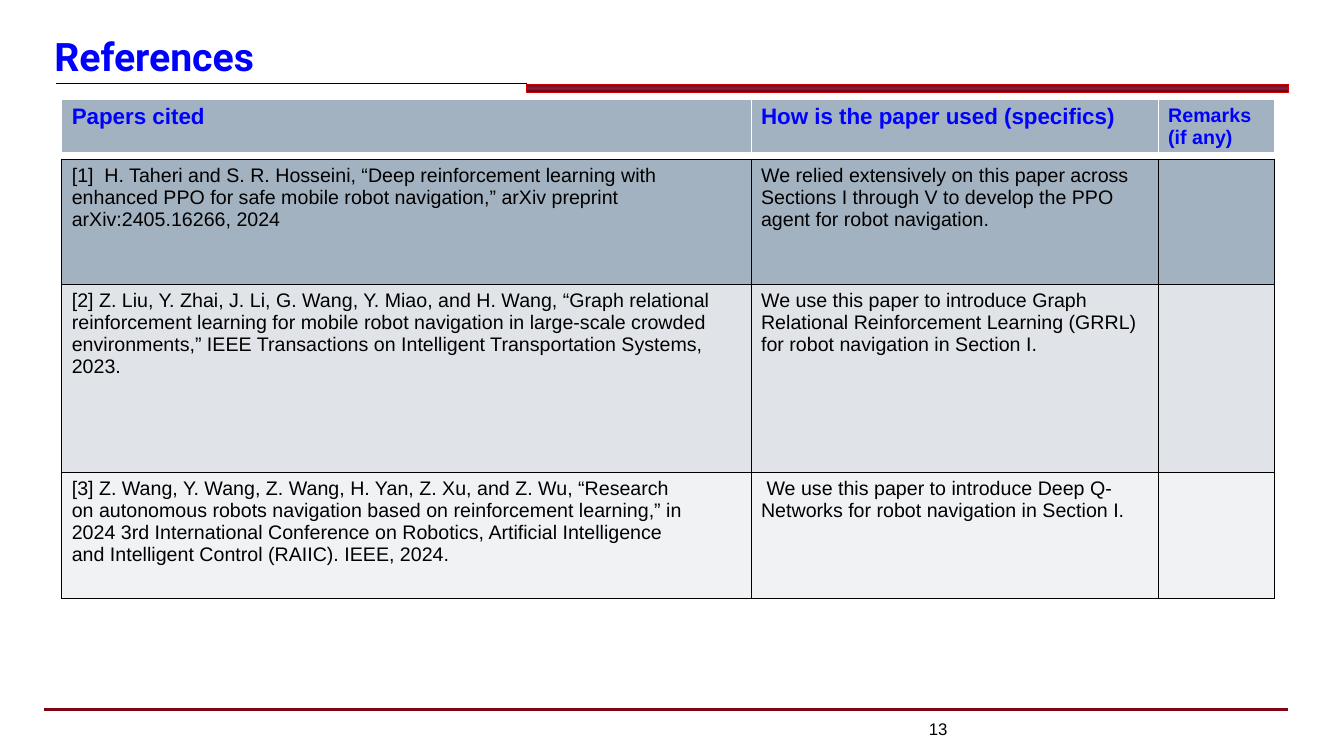
"""Build the References slide with its table of cited papers."""
from dataclasses import dataclass

from lxml import etree
from pptx import Presentation
from pptx.dml.color import RGBColor
from pptx.enum.shapes import MSO_CONNECTOR, MSO_SHAPE
from pptx.enum.text import MSO_ANCHOR, MSO_AUTO_SIZE, PP_ALIGN
from pptx.oxml.ns import qn
from pptx.slide import Slide
from pptx.text.text import TextFrame
from pptx.util import Cm, Pt

LINE, RECT = MSO_CONNECTOR.STRAIGHT, MSO_SHAPE.RECTANGLE
BASE, TOP = MSO_ANCHOR.BOTTOM, MSO_ANCHOR.TOP
LEFT, RIGHT = PP_ALIGN.LEFT, PP_ALIGN.RIGHT
FIXED = MSO_AUTO_SIZE.NONE

BLACK = RGBColor(0x00, 0x00, 0x00)
WHITE = RGBColor(0xFF, 0xFF, 0xFF)
BLUE = RGBColor(0x00, 0x00, 0xFF)
RED = RGBColor(0xCC, 0x00, 0x00)
WINE = RGBColor(0x7E, 0x06, 0x14)
DARK = RGBColor(0x5E, 0x00, 0x00)
MAROON = RGBColor(0x8C, 0x1D, 0x40)
STEEL = RGBColor(0xA3, 0xB2, 0xC1)
MIST = RGBColor(0xE0, 0xE4, 0xE9)
PALE = RGBColor(0xF0, 0xF2, 0xF4)

COLS = (17.37, 10.26, 2.92)


@dataclass(frozen=True)
class Style:
    size: float
    color: RGBColor = BLACK
    bold: bool = False
    face: str = "Arial"


@dataclass(frozen=True)
class Row:
    height: float
    fill: RGBColor
    texts: tuple[str, ...]
    styles: tuple[Style, ...]


@dataclass(frozen=True)
class Grid:
    top: float
    edge: RGBColor
    base: float
    rows: tuple[Row, ...]


@dataclass(frozen=True)
class Rule:
    left: float
    right: float
    top: float
    color: RGBColor
    width: float


BODY = Style(14)
HEAD = Style(16, BLUE, True)
NOTE = Style(14, BLUE, True)
TITLE = Style(28, BLUE, True, "Roboto")

RULES = (
    Rule(1.42, 13.28, 2.11, BLACK, 0.5),
    Rule(1.12, 32.46, 17.88, WINE, 2),
)

GRIDS = (
    Grid(4.01, BLACK, 1, (
        Row(3.15, STEEL, (
            "[1]  H. Taheri and S. R. Hosseini, “Deep reinforcement learning with\n"
            "enhanced PPO for safe mobile robot navigation,” arXiv preprint\n"
            "arXiv:2405.16266, 2024",
            "We relied extensively on this paper across Sections I through V "
            "to develop the PPO agent for robot navigation.",
            ""), (BODY,) * 3),
        Row(4.75, MIST, (
            "[2] Z. Liu, Y. Zhai, J. Li, G. Wang, Y. Miao, and H. Wang, “Graph relational\n"
            "reinforcement learning for mobile robot navigation in large-scale crowded\n"
            "environments,” IEEE Transactions on Intelligent Transportation Systems,\n"
            "2023.",
            "We use this paper to introduce Graph Relational Reinforcement "
            "Learning (GRRL) for robot navigation in Section I.",
            ""), (BODY,) * 3),
        Row(3.18, PALE, (
            "[3] Z. Wang, Y. Wang, Z. Wang, H. Yan, Z. Xu, and Z. Wu, “Research\n"
            "on autonomous robots navigation based on reinforcement learning,” in\n"
            "2024 3rd International Conference on Robotics, Artificial Intelligence\n"
            "and Intelligent Control (RAIIC). IEEE, 2024.",
            " We use this paper to introduce Deep Q-Networks for robot "
            "navigation in Section I.",
            ""), (BODY,) * 3),
    )),
    Grid(2.51, WHITE, 3, (
        Row(1.04, STEEL, (
            "Papers cited",
            "How is the paper used (specifics)",
            "Remarks (if any)"), (HEAD, HEAD, NOTE)),
    )),
)


def write(frame: TextFrame, text: str, style: Style, align: PP_ALIGN = LEFT) -> None:
    """Write each line of text as a paragraph with one run."""
    for index, line in enumerate(text.split("\n")):
        para = frame.add_paragraph() if index else frame.paragraphs[0]
        para.alignment = align
        if line:
            run = para.add_run()
            run.text = line
            font = run.font
            font.name, font.size, font.bold = style.face, Pt(style.size), style.bold
            font.color.rgb = style.color


def pad(frame: TextFrame, anchor: MSO_ANCHOR) -> None:
    """Set the insets, wrap and anchor of a text frame."""
    frame.auto_size, frame.word_wrap = FIXED, True
    frame.vertical_anchor = anchor
    frame.margin_left = frame.margin_right = Cm(0.25)
    frame.margin_top = frame.margin_bottom = Cm(0.13)


def draw_rule(slide: Slide, rule: Rule) -> None:
    """Draw a level line without a shadow."""
    line = slide.shapes.add_connector(
        LINE, Cm(rule.left), Cm(rule.top), Cm(rule.right), Cm(rule.top))
    line.line.color.rgb, line.line.width = rule.color, Pt(rule.width)
    etree.SubElement(line._element.spPr, qn("a:effectLst"))


def draw_bar(slide: Slide) -> None:
    """Draw the shaded bar beneath the title."""
    bar = slide.shapes.add_shape(RECT, Cm(13.28), Cm(2.12), Cm(19.2), Cm(0.21))
    bar.shadow.inherit = False
    bar.line.color.rgb, bar.line.width = RED, Pt(0.75)
    bar.fill.gradient()
    bar.fill.gradient_angle = 90
    stops = bar._element.spPr.find(f".//{qn('a:gsLst')}")
    for stop in list(stops):
        stops.remove(stop)
    for place, color in ((0, DARK), (50, MAROON), (100, DARK)):
        stop = etree.SubElement(stops, qn("a:gs"), pos=str(place * 1000))
        etree.SubElement(stop, qn("a:srgbClr"), val=str(color))


def draw_grid(slide: Slide, grid: Grid) -> None:
    """Draw a table with filled cells and plain borders."""
    height = sum(row.height for row in grid.rows)
    table = slide.shapes.add_table(
        len(grid.rows), len(COLS), Cm(1.56), Cm(grid.top),
        Cm(sum(COLS)), Cm(height)).table
    table.first_row = table.horz_banding = False
    for col, width in zip(table.columns, COLS):
        col.width = Cm(width)
    edges = {"a:lnL": 1, "a:lnR": 1, "a:lnT": 1, "a:lnB": grid.base}
    for band, row in zip(table.rows, grid.rows):
        band.height = Cm(row.height)
        for cell, text, style in zip(band.cells, row.texts, row.styles):
            props = cell._tc.get_or_add_tcPr()
            for tag, width in edges.items():
                edge = etree.SubElement(props, qn(tag), w=str(Pt(width)))
                fill = etree.SubElement(edge, qn("a:solidFill"))
                etree.SubElement(fill, qn("a:srgbClr"), val=str(grid.edge))
            cell.fill.solid()
            cell.fill.fore_color.rgb = row.fill
            cell.margin_left = cell.margin_right = Cm(0.25)
            cell.margin_top = cell.margin_bottom = Cm(0.13)
            write(cell.text_frame, text, style)


def main() -> None:
    """Build and save the slide."""
    deck = Presentation()
    deck.slide_width, deck.slide_height = Cm(33.87), Cm(19.05)
    slide = deck.slides.add_slide(deck.slide_layouts[5])
    title = slide.shapes.title
    title.left, title.top, title.width, title.height = Cm(1.12), Cm(0.43), Cm(31.32), Cm(1.7)
    pad(title.text_frame, BASE)
    write(title.text_frame, "References", TITLE)
    for rule in RULES:
        draw_rule(slide, rule)
    draw_bar(slide)
    page = slide.shapes.add_textbox(Cm(22.76), Cm(17.98), Cm(1.37), Cm(0.64))
    pad(page.text_frame, TOP)
    write(page.text_frame, "13", Style(12), RIGHT)
    for grid in GRIDS:
        draw_grid(slide, grid)
    deck.save("out.pptx")


if __name__ == "__main__":
    main()
